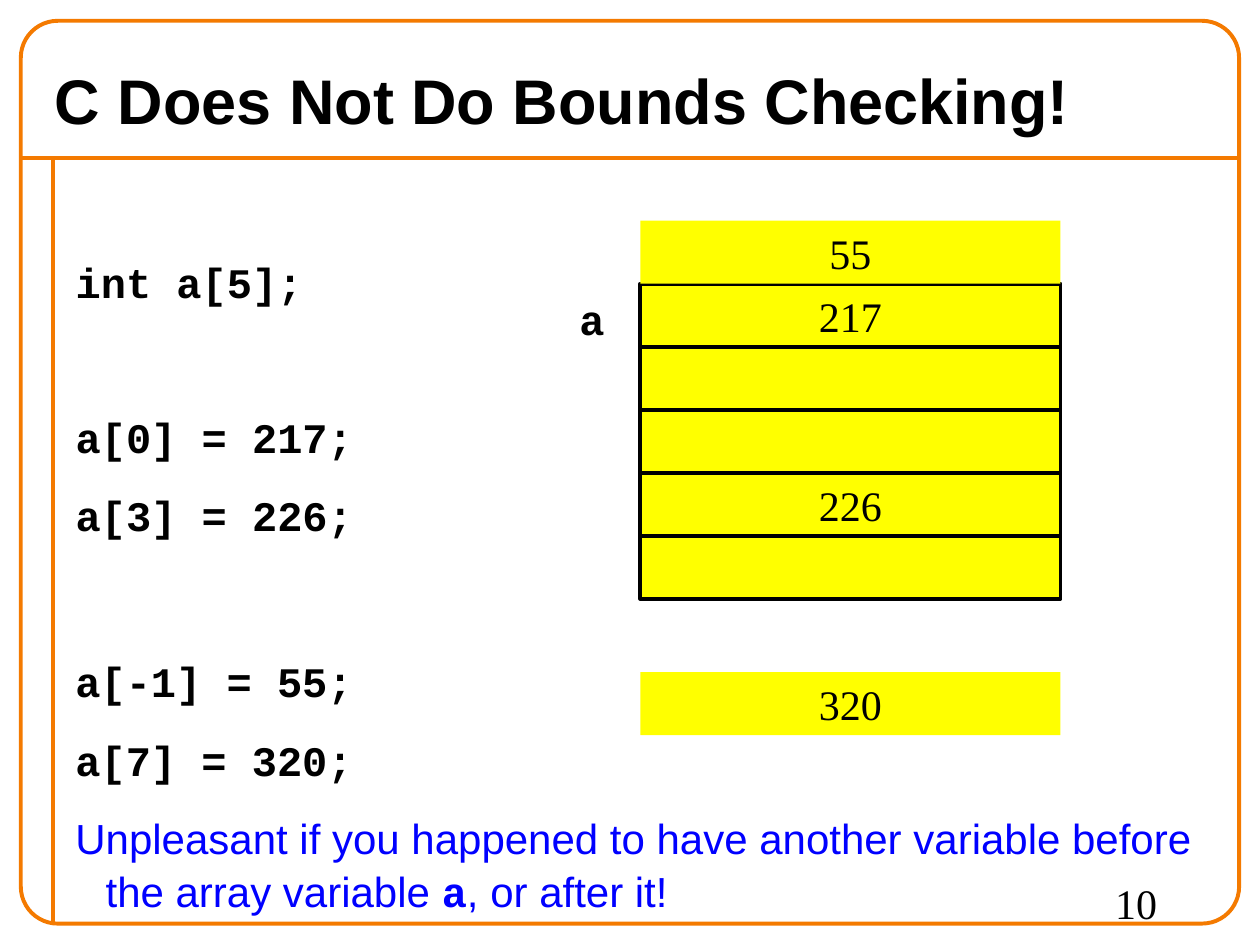
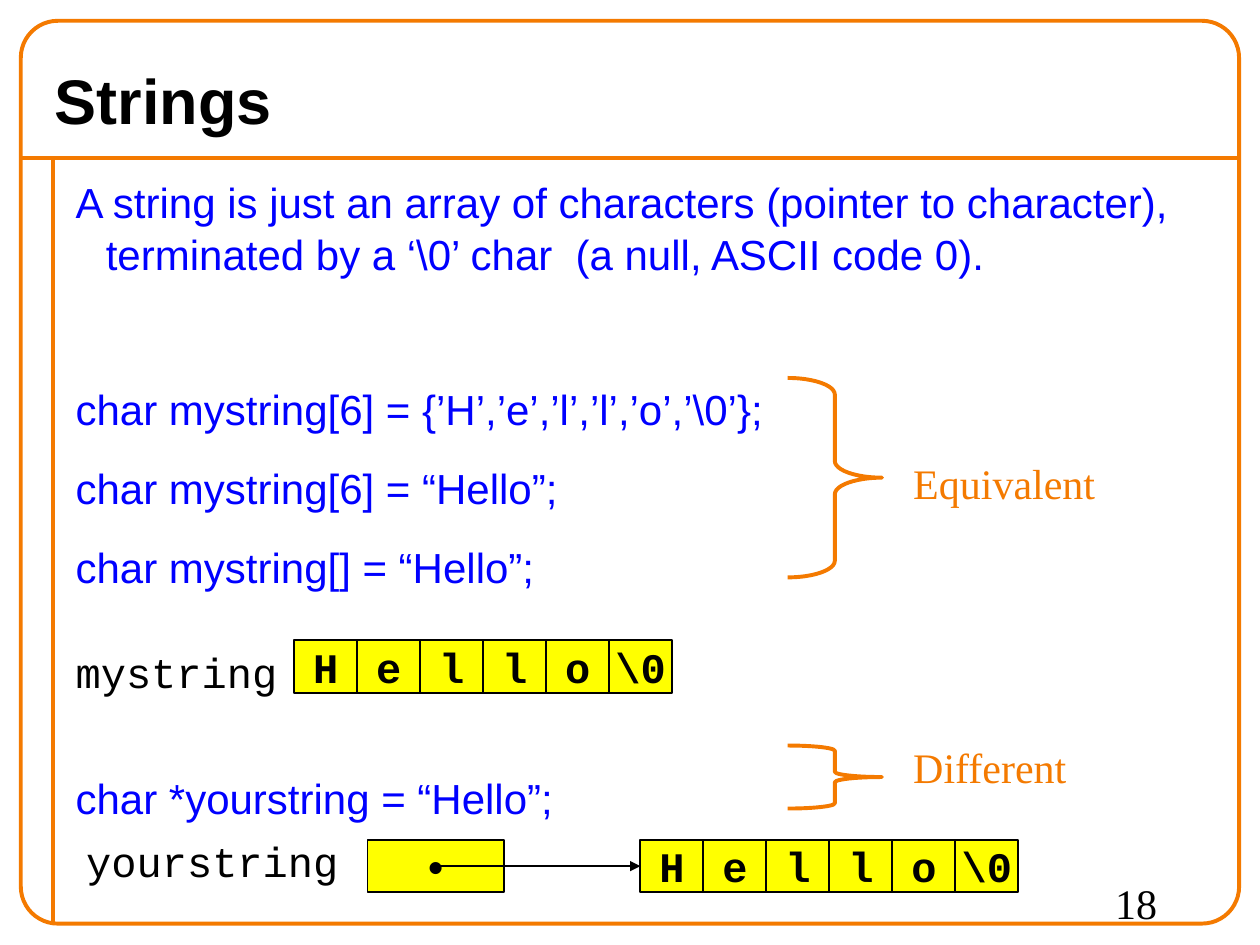
"""Build two lecture slides about C arrays and strings."""
from dataclasses import dataclass

from lxml import etree
from pptx import Presentation
from pptx.dml.color import RGBColor
from pptx.enum.shapes import MSO_CONNECTOR, MSO_SHAPE
from pptx.enum.text import MSO_ANCHOR, MSO_AUTO_SIZE, PP_ALIGN
from pptx.oxml.ns import qn
from pptx.shapes.autoshape import Shape
from pptx.shapes.connector import Connector
from pptx.slide import Slide
from pptx.text.text import Font, TextFrame
from pptx.util import Cm, Pt

RECTANGLE = MSO_SHAPE.RECTANGLE
ROUNDED = MSO_SHAPE.ROUNDED_RECTANGLE
BRACE = MSO_SHAPE.RIGHT_BRACE
STRAIGHT = MSO_CONNECTOR.STRAIGHT
MIDDLE = MSO_ANCHOR.MIDDLE
NO_FIT = MSO_AUTO_SIZE.NONE
LEFT, CENTER, RIGHT = PP_ALIGN.LEFT, PP_ALIGN.CENTER, PP_ALIGN.RIGHT

COLORS = {
    "accent": "F47A00",
    "cell": "FFFF00",
    "ink": "000000",
    "prose": "0000FF",
}
LINE_HEIGHT = 28.6
LIST_GAP = 15
BLANK_STEP = LINE_HEIGHT + LIST_GAP


@dataclass(frozen=True)
class Box:
    """A rectangle in centimetres."""
    left: float
    top: float
    width: float
    height: float

    def lengths(self) -> tuple[Cm, Cm, Cm, Cm]:
        """Return the four measures as lengths."""
        return Cm(self.left), Cm(self.top), Cm(self.width), Cm(self.height)


@dataclass(frozen=True)
class TextStyle:
    """The look of a piece of text."""
    name: str
    color: str = "ink"
    bold: bool = False
    size: float = 24


TITLE = TextStyle("Arial", bold=True, size=36)
PROSE = TextStyle("Arial", "prose")
CODE = TextStyle("Courier New", bold=True)
CODE_PROSE = TextStyle("Courier New", "prose", bold=True)
VARIABLE = TextStyle("Courier New")
SERIF = TextStyle("Times New Roman")
REMARK = TextStyle("Times New Roman", "accent")


@dataclass(frozen=True)
class ListLine:
    """A list paragraph, with the number of empty steps above it."""
    runs: tuple[tuple[str, TextStyle], ...]
    skipped: int = 0


@dataclass(frozen=True)
class Label:
    """A free-standing piece of text."""
    text: str
    box: Box
    style: TextStyle
    alignment: PP_ALIGN = LEFT


def color(key: str) -> RGBColor:
    """Look up a named colour."""
    return RGBColor.from_string(COLORS[key])


def set_font(font: Font, style: TextStyle) -> None:
    """Apply a text style to a font."""
    font.name = style.name
    font.size = Pt(style.size)
    font.bold = style.bold
    font.color.rgb = color(style.color)


def write(frame: TextFrame, text: str, style: TextStyle, alignment: PP_ALIGN) -> None:
    """Fill a text frame with one paragraph."""
    paragraph = frame.paragraphs[0]
    paragraph.text = text
    paragraph.alignment = alignment
    set_font(paragraph.font, style)


def place(shape: Shape, box: Box) -> None:
    """Move a shape to a box."""
    shape.left, shape.top, shape.width, shape.height = box.lengths()


def write_list(frame: TextFrame, lines: list[ListLine]) -> None:
    """Fill a text frame with unbulleted, hanging paragraphs."""
    frame.word_wrap = True
    frame.auto_size = NO_FIT
    for index, line in enumerate(lines):
        paragraph = frame.paragraphs[0] if index == 0 else frame.add_paragraph()
        properties = paragraph._p.get_or_add_pPr()
        properties.set("marL", str(Cm(0.61)))
        properties.set("indent", str(-Cm(0.61)))
        etree.SubElement(properties, qn("a:buNone"))
        paragraph.alignment = LEFT
        paragraph.line_spacing = 1.04
        paragraph.space_before = Pt(LIST_GAP + line.skipped * BLANK_STEP)
        for text, style in line.runs:
            run = paragraph.add_run()
            run.text = text
            if len(line.runs) > 1:
                set_font(run.font, style)
        if len(line.runs) == 1:
            set_font(paragraph.font, line.runs[0][1])


def add_outline(slide: Slide, kind: MSO_SHAPE, box: Box, adjustment: float) -> None:
    """Draw an unfilled accent shape."""
    shape = slide.shapes.add_shape(kind, *box.lengths())
    shape.shadow.inherit = False
    shape.fill.background()
    shape.line.color.rgb = color("accent")
    shape.line.width = Pt(2.25)
    shape.adjustments[0] = adjustment


def add_line(slide: Slide, ends: tuple[int, int, int, int], key: str, width: float) -> Connector:
    """Draw a straight line without a shadow."""
    line = slide.shapes.add_connector(STRAIGHT, *ends)
    line.line.color.rgb = color(key)
    line.line.width = Pt(width)
    etree.SubElement(line.element.spPr, qn("a:effectLst"))
    return line


def add_cell(slide: Slide, box: Box, text: str, style: TextStyle, border: float) -> Shape:
    """Draw a memory cell; a border of 0 leaves it without outline."""
    cell = slide.shapes.add_shape(RECTANGLE, *box.lengths())
    cell.shadow.inherit = False
    cell.fill.solid()
    cell.fill.fore_color.rgb = color("cell")
    if border:
        cell.line.color.rgb = color("ink")
        cell.line.width = Pt(border)
    else:
        cell.line.fill.background()
    if text:
        cell.text_frame.word_wrap = False
        cell.text_frame.vertical_anchor = MIDDLE
        write(cell.text_frame, text, style, CENTER)
    return cell


def add_label(slide: Slide, label: Label) -> None:
    """Draw a text box of one unwrapped line."""
    frame = slide.shapes.add_textbox(*label.box.lengths()).text_frame
    frame.word_wrap = False
    write(frame, label.text, label.style, label.alignment)


def add_brace(slide: Slide, top: float, height: float) -> None:
    """Draw a right brace whose bends are a twelfth of its height."""
    box = Box(15.88, top, 1.9, height)
    add_outline(slide, BRACE, box, height / 12 / min(box.width, height))


def add_string_cells(slide: Slide, left: float, top: float) -> list[Shape]:
    """Draw the characters of the string in adjoining cells."""
    return [
        add_cell(slide, Box(left + 1.27 * index, top, 1.27, 1.06), character, CODE, 1)
        for index, character in enumerate(["H", "e", "l", "l", "o", "\\0"])
    ]


def add_base_slide(presentation: Presentation, title: str, number: str,
                   body_box: Box, lines: list[ListLine]) -> Slide:
    """Add a slide with frame, title, list and slide number."""
    slide = presentation.slides.add_slide(presentation.slide_layouts[1])
    add_line(slide, (Cm(0.42), Cm(3.18), Cm(24.98), Cm(3.18)), "accent", 2.25)
    add_line(slide, (Cm(1.06), Cm(3.18), Cm(1.06), Cm(18.63)), "accent", 2.25)
    add_outline(slide, ROUNDED, Box(0.42, 0.42, 24.56, 18.2), 0.041)
    heading = slide.shapes.title
    place(heading, Box(0.85, 1.06, 23.7, 1.9))
    heading.text_frame.vertical_anchor = MIDDLE
    heading.text_frame.auto_size = NO_FIT
    write(heading.text_frame, title, TITLE, LEFT)
    body = slide.placeholders[1]
    place(body, body_box)
    write_list(body.text_frame, lines)
    add_label(slide, Label(number, Box(22.23, 17.57, 2.54, 1.27), SERIF))
    return slide


def build_bounds_slide(presentation: Presentation) -> None:
    """Show writes inside and outside an array."""
    slide = add_base_slide(
        presentation, "C Does Not Do Bounds Checking!", "10", Box(1.27, 5, 23.5, 6),
        [
            ListLine((("int a[5];", CODE),)),
            ListLine((("a[0] = 217;", CODE),), skipped=1),
            ListLine((("a[3] = 226;", CODE),)),
        ],
    )
    left, top, width, height = 12.91, 4.45, 8.47, 1.27
    for index, value in enumerate(["217", "", "", "226", ""], start=1):
        add_cell(slide, Box(left, top + height * index, width, height), value, SERIF, 2.25)
    for value, stray_top in [("55", top), ("320", 13.55)]:
        add_cell(slide, Box(left, stray_top, width, height), value, SERIF, 0)
    add_label(slide, Label("a", Box(11.43, 5.8, 1.02, 1.27), CODE))
    stray_writes = slide.shapes.add_textbox(*Box(1.27, 13.05, 23.5, 5.9).lengths())
    write_list(stray_writes.text_frame, [
        ListLine((("a[-1] = 55;", CODE),)),
        ListLine((("a[7] = 320;", CODE),)),
        ListLine((
            ("Unpleasant if you happened to have another variable before "
             "the array variable ", PROSE),
            ("a", CODE_PROSE),
            (", or after it!", PROSE),
        )),
    ])


def build_strings_slide(presentation: Presentation) -> None:
    """Compare a character array with a character pointer."""
    slide = add_base_slide(
        presentation, "Strings", "18", Box(1.27, 3.39, 23.5, 15.24),
        [
            ListLine((("A string is just an array of characters (pointer to character), "
                       "terminated by a ‘\\0’ char  (a null, ASCII code 0).", PROSE),)),
            ListLine((("char mystring[6] = {’H’,’e’,’l’,’l’,’o’,’\\0’};", PROSE),), skipped=1),
            ListLine((("char mystring[6] = “Hello”;", PROSE),)),
            ListLine((("char mystring[] = “Hello”;", PROSE),)),
            ListLine((("char *yourstring = “Hello”;", PROSE),), skipped=2),
        ],
    )
    add_brace(slide, 7.62, 4.02)
    add_brace(slide, 15.03, 1.27)
    for label in [
        Label("Equivalent", Box(18.16, 9.1, 4.17, 1.27), REMARK),
        Label("Different", Box(18.16, 14.82, 3.61, 1.27), REMARK),
        Label("mystring", Box(1.27, 12.91, 4.57, 1.27), VARIABLE, RIGHT),
        Label("yourstring", Box(1.48, 16.72, 5.59, 1.27), VARIABLE, RIGHT),
    ]:
        add_label(slide, label)
    add_string_cells(slide, 5.93, 12.91)
    pointer = add_cell(slide, Box(7.41, 16.93, 2.75, 1.06), "•", CODE, 1)
    target = add_string_cells(slide, 12.91, 16.93)[0]
    middle = pointer.top + pointer.height // 2
    arrow = add_line(
        slide, (pointer.left + pointer.width // 2, middle, target.left, middle), "ink", 0.75)
    arrow.end_connect(target, 1)
    etree.SubElement(arrow.element.spPr.find(qn("a:ln")), qn("a:tailEnd"), type="triangle")


def main() -> None:
    """Build and save the presentation."""
    presentation = Presentation()
    presentation.slide_width = Cm(25.4)
    presentation.slide_height = Cm(19.05)
    build_bounds_slide(presentation)
    build_strings_slide(presentation)
    presentation.save("out.pptx")


if __name__ == "__main__":
    main()
